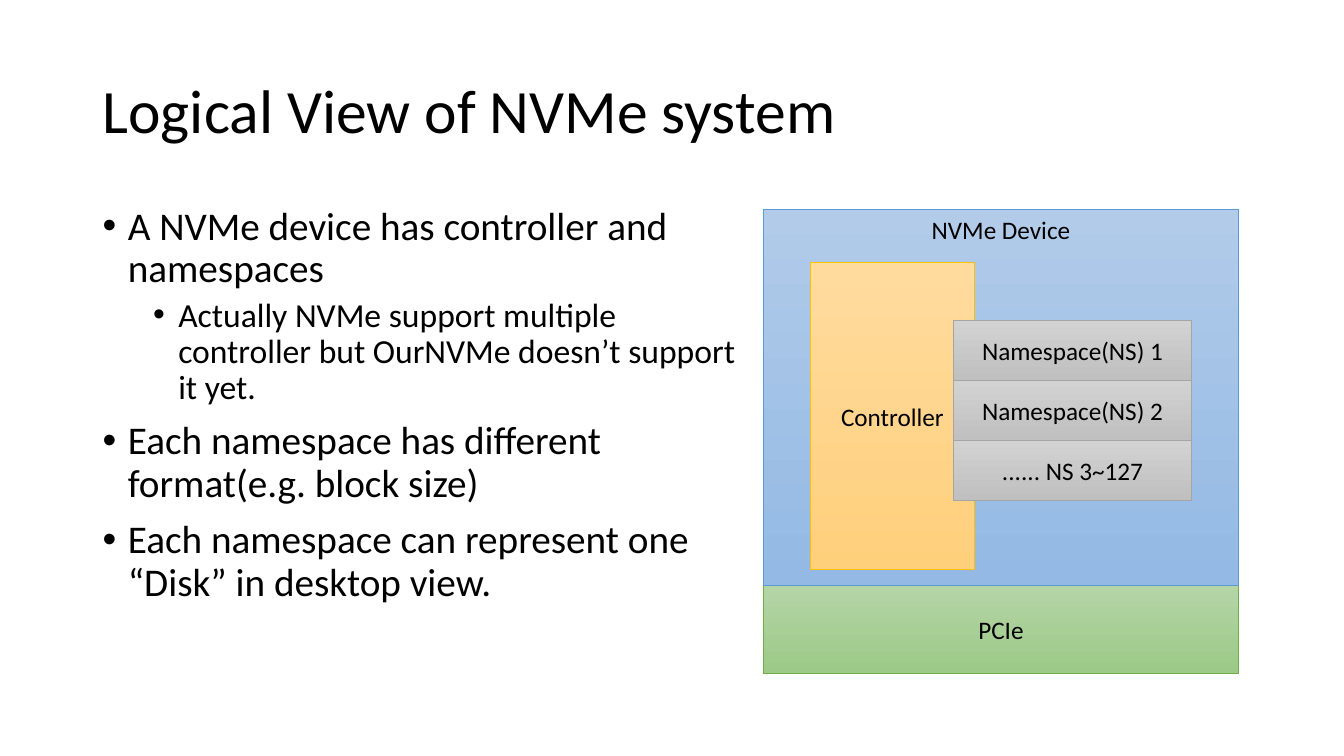
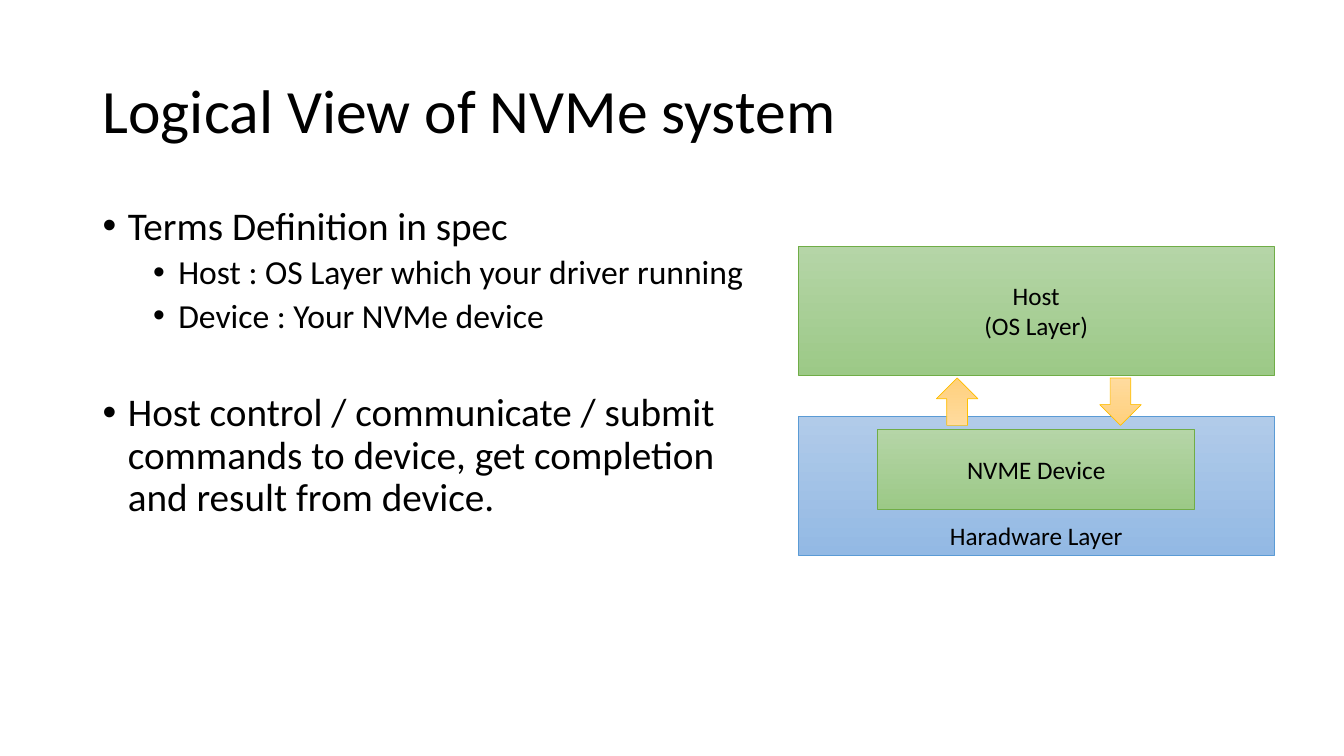
"""Build two slides on the logical view of an NVMe system."""
from lxml import etree
from pptx import Presentation
from pptx.dml.color import RGBColor
from pptx.enum.shapes import MSO_SHAPE
from pptx.enum.text import MSO_ANCHOR, PP_ALIGN
from pptx.oxml.ns import qn
from pptx.util import Inches, Pt

RECTANGLE, DOWN_ARROW = MSO_SHAPE.RECTANGLE, MSO_SHAPE.DOWN_ARROW
TOP, MIDDLE, BOTTOM = MSO_ANCHOR.TOP, MSO_ANCHOR.MIDDLE, MSO_ANCHOR.BOTTOM
LEFT, CENTER = PP_ALIGN.LEFT, PP_ALIGN.CENTER

BLACK = RGBColor(0x00, 0x00, 0x00)
GREEN = (RGBColor(0xB5, 0xD5, 0xA7), RGBColor(0x9C, 0xC9, 0x87), RGBColor(0x70, 0xAD, 0x47))
BLUE = (RGBColor(0xB1, 0xCB, 0xE9), RGBColor(0x93, 0xB9, 0xE4), RGBColor(0x5B, 0x9B, 0xD5))
ORANGE = (RGBColor(0xFF, 0xDB, 0x9E), RGBColor(0xFF, 0xD0, 0x7C), RGBColor(0xFF, 0xC0, 0x00))
GRAY = (RGBColor(0xD2, 0xD2, 0xD2), RGBColor(0xC0, 0xC0, 0xC0), RGBColor(0xA5, 0xA5, 0xA5))

FONT = "Calibri"
TITLE = "Logical View of NVMe system"
TITLE_FORMAT = {"line_spacing": 0.9, "alignment": LEFT}
LABEL_FORMAT = {"alignment": CENTER}
BULLET_FORMATS = [
    {"line_spacing": 0.9, "space_before": Pt(10), "alignment": LEFT},
    {"line_spacing": 0.9, "space_before": Pt(5), "alignment": LEFT, "level": 1},
]
SECTION_FORMAT = {**BULLET_FORMATS[0], "space_before": Pt(41)}
BULLET_SIZES = [28, 24]
BULLET_MARGINS = [0.25, 0.75]
HANGING = 0.25

MARGIN, PANEL_WIDTH = 6.9, 35.4
DEVICE_LEFT, DEVICE_TOP, DEVICE_HEIGHT = 56.78, 27.65, 49.73
NAMESPACE_TOP, NAMESPACE_HEIGHT = 42.4, 7.92
LAYER_LEFT = 59.4
NAMESPACES = ["Namespace(NS) 1", "Namespace(NS) 2", "...... NS 3~127"]

SLIDES = [
    {
        "body_width": 48.9,
        "bullets": [
            (0, "A NVMe device has controller and namespaces", BULLET_FORMATS[0]),
            (1, "Actually NVMe support multiple controller but OurNVMe doesn’t support it yet.",
             BULLET_FORMATS[1]),
            (0, "Each namespace has different format(e.g. block size)", BULLET_FORMATS[0]),
            (0, "Each namespace can represent one “Disk” in desktop view.", BULLET_FORMATS[0]),
        ],
        "blocks": [
            ((DEVICE_LEFT, DEVICE_TOP + DEVICE_HEIGHT, PANEL_WIDTH, 11.73), GREEN, MIDDLE, ["PCIe"]),
            ((DEVICE_LEFT, DEVICE_TOP, PANEL_WIDTH, DEVICE_HEIGHT), BLUE, TOP, ["NVMe Device"]),
            ((60.3, 34.75, 12.2, 40.6), ORANGE, MIDDLE, ["Controller"]),
        ] + [
            ((70.95, NAMESPACE_TOP + row * NAMESPACE_HEIGHT, PANEL_WIDTH / 2, NAMESPACE_HEIGHT),
             GRAY, MIDDLE, [name])
            for row, name in enumerate(NAMESPACES)
        ],
        "arrows": [],
    },
    {
        "body_width": 51.3,
        "bullets": [
            (0, "Terms Definition in spec", BULLET_FORMATS[0]),
            (1, "Host : OS Layer which your driver running", BULLET_FORMATS[1]),
            (1, "Device : Your NVMe device", BULLET_FORMATS[1]),
            (0, "Host control / communicate / submit commands to device, "
                "get completion and result from device.", SECTION_FORMAT),
        ],
        "blocks": [
            ((LAYER_LEFT, 55.07, PANEL_WIDTH, 18.4), BLUE, BOTTOM, ["Haradware Layer"]),
            ((LAYER_LEFT + PANEL_WIDTH / 6, 56.8, PANEL_WIDTH * 2 / 3, 10.6), GREEN, MIDDLE,
             ["NVME Device"]),
            ((LAYER_LEFT, 32.6, PANEL_WIDTH, 17), GREEN, MIDDLE, ["Host", "(OS Layer)"]),
        ],
        "arrows": [(81.83, 0), (69.68, 180)],
    },
]

deck = Presentation()
deck.slide_width, deck.slide_height = Inches(13.33), Inches(7.5)


def place(left, top, width, height):
    across, down = deck.slide_width / 100, deck.slide_height / 100
    return [int(length) for length in (left * across, top * down, width * across, height * down)]


def write(box, lines, anchor):
    frame = box.text_frame
    frame.word_wrap = True
    frame.vertical_anchor = anchor
    for index, (text, size, formats) in enumerate(lines):
        para = frame.paragraphs[0] if index == 0 else frame.add_paragraph()
        for name, value in formats.items():
            setattr(para, name, value)
        span = para.add_run()
        span.text = text
        span.font.name = FONT
        span.font.size = Pt(size)
        span.font.color.rgb = BLACK


for content in SLIDES:
    page = deck.slides.add_slide(deck.slide_layouts[6])
    title = page.shapes.add_textbox(*place(MARGIN, 5.33, 86.25, 19.33))
    write(title, [(TITLE, 44, TITLE_FORMAT)], MIDDLE)

    body = page.shapes.add_textbox(*place(MARGIN, 26.67, content["body_width"], 63.47))
    bullets = content["bullets"]
    write(body, [(text, BULLET_SIZES[level], formats) for level, text, formats in bullets], TOP)
    for para, (level, text, formats) in zip(body.text_frame.paragraphs, bullets):
        properties = para._p.get_or_add_pPr()
        properties.set("marL", str(Inches(BULLET_MARGINS[level])))
        properties.set("indent", str(-Inches(HANGING)))
        etree.SubElement(properties, qn("a:buFont"), typeface="Arial")
        etree.SubElement(properties, qn("a:buChar"), char="•")

    drawn = [(RECTANGLE, 0, *block) for block in content["blocks"]]
    drawn += [(DOWN_ARROW, turn, (left, 50, 3.08, 6.27), ORANGE, MIDDLE, [])
              for left, turn in content["arrows"]]
    for kind, turn, area, (light, dark, edge), anchor, labels in drawn:
        box = page.shapes.add_shape(kind, *place(*area))
        box.rotation = turn
        box.shadow.inherit = False
        box.fill.gradient()
        box.fill.gradient_angle = 270
        for stop, color in zip(box.fill.gradient_stops, (light, dark)):
            stop.color.rgb = color
        box.line.color.rgb = edge
        box.line.width = Pt(0.5)
        write(box, [(label, 18, LABEL_FORMAT) for label in labels], anchor)

deck.save("out.pptx")
